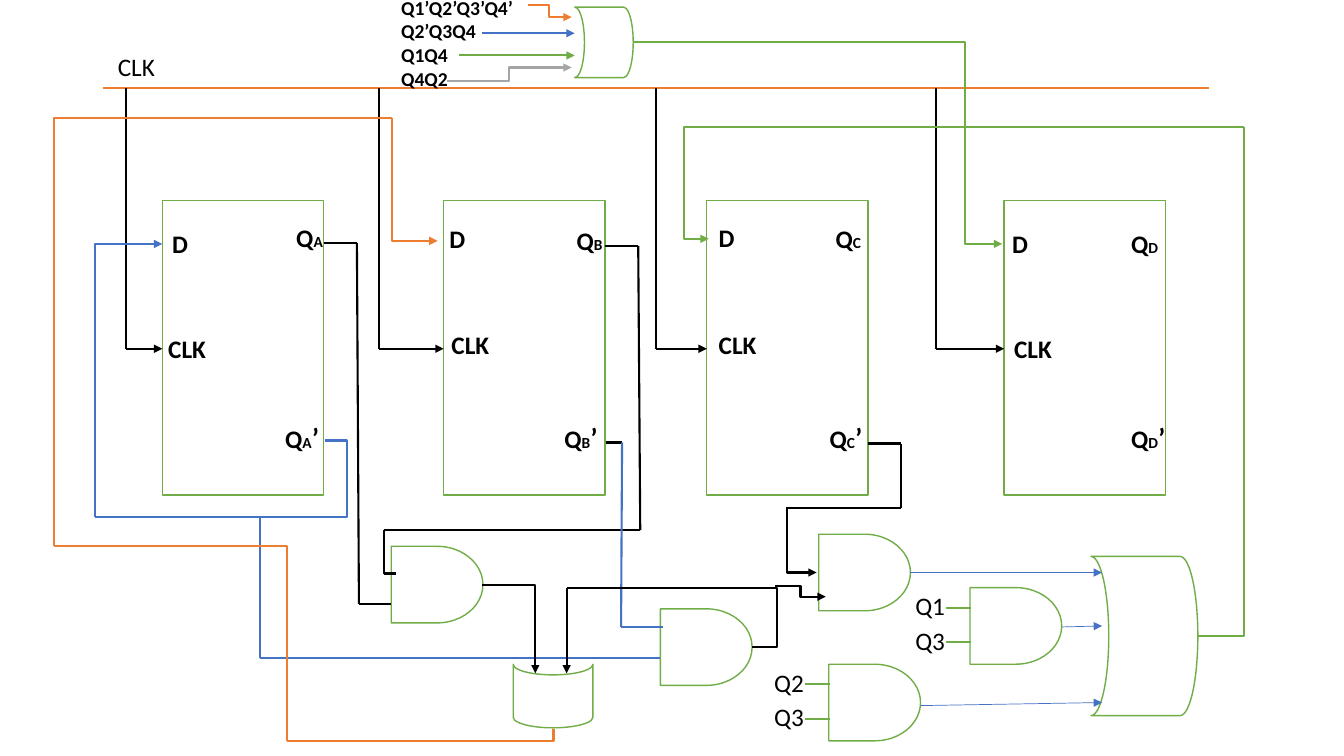
import collections
import itertools

import pptx
import pptx.dml.color
import pptx.enum.shapes
import pptx.enum.text
import pptx.oxml
import pptx.oxml.ns
import pptx.util

PX = 9144
Box = collections.namedtuple("Box", "left top width height")
Theme = collections.namedtuple(
    "Theme", "font ink paper blue orange green gray label small prime terms outline wire thin")
THEME = Theme("Calibri", "000000", "FFFFFF", "4472C4", "ED7D31", "70AD47", "A5A5A5",
              18, 11, 20, 14, 1, 1.5, 0.5)
SHAPES = pptx.enum.shapes.MSO_SHAPE
CONNECTORS = pptx.enum.shapes.MSO_CONNECTOR
FRAME = {"word_wrap": True, "auto_size": pptx.enum.text.MSO_AUTO_SIZE.SHAPE_TO_FIT_TEXT}


def apply(target, values):
    for name, value in values.items():
        setattr(target, name, value)


def rgb(code):
    return pptx.dml.color.RGBColor.from_string(code)


def emu(*lengths):
    return [pptx.util.Emu(length * PX) for length in lengths]


def inside(box, left, top, width, height):
    return emu(box.left + left, box.top + top, width, height)


def part(slide, box, preset, place, rotation=0):
    outline = slide.shapes.add_shape(preset, *inside(box, *place))
    apply(outline, {"rotation": rotation})
    apply(outline.shadow, {"inherit": False})
    outline.fill.solid()
    apply(outline.fill.fore_color, {"rgb": rgb(THEME.paper)})
    apply(outline.line, {"width": pptx.util.Pt(THEME.outline)})
    apply(outline.line.color, {"rgb": rgb(THEME.green)})


def and_gate(slide, box, left, top):
    part(slide, box, SHAPES.FLOWCHART_DELAY, (left, top, 91, 76))


def or_gate(slide, box, place, rotation=180):
    part(slide, box, SHAPES.FLOWCHART_STORED_DATA, place, rotation)


def label(slide, box, place, lines, bold=True):
    frame = slide.shapes.add_textbox(*inside(box, *place)).text_frame
    apply(frame, FRAME)
    for index, pieces in enumerate(lines):
        paragraph = frame.add_paragraph() if index else frame.paragraphs[0]
        for text, size in pieces:
            run = paragraph.add_run()
            run.text = text
            apply(run.font, {"name": THEME.font, "size": pptx.util.Pt(size), "bold": bold})
            apply(run.font.color, {"rgb": rgb(THEME.ink)})


def link(slide, box, start, end, color, kind=CONNECTORS.STRAIGHT, arrow=None, width=THEME.wire):
    ends = emu(*(edge + offset for point in (start, end)
                 for edge, offset in zip((box.left, box.top), point)))
    connector = slide.shapes.add_connector(kind, *ends)
    apply(connector.line, {"width": pptx.util.Pt(width)})
    apply(connector.line.color, {"rgb": rgb(color)})
    properties = connector._element.spPr
    if arrow:
        tip = pptx.oxml.parse_xml(f'<a:{arrow} {pptx.oxml.ns.nsdecls("a")} type="triangle"/>')
        properties.find(pptx.oxml.ns.qn("a:ln")).append(tip)
    properties.append(pptx.oxml.parse_xml(f'<a:effectLst {pptx.oxml.ns.nsdecls("a")}/>'))
    return properties.find(pptx.oxml.ns.qn("a:prstGeom"))


def straight(slide, box, color, *points, arrow=False, width=THEME.wire):
    last = len(points) - 2
    for index, (start, end) in enumerate(itertools.pairwise(points)):
        link(slide, box, start, end, color, width=width,
             arrow="tailEnd" if arrow and index == last else None)


def corner(slide, box, color, start, turn, end, arrow=False):
    tip = "tailEnd"
    if start[0] == turn[0]:
        start, end, tip = end, start, "headEnd"
    geometry = link(slide, box, start, end, color, CONNECTORS.ELBOW, tip if arrow else None)
    geometry.set("prst", "bentConnector2")


def step(slide, box, color, start, turn_x, end, arrow=False):
    geometry = link(slide, box, start, end, color, CONNECTORS.ELBOW, "tailEnd" if arrow else None)
    share = round(100000 * (turn_x - start[0]) / (end[0] - start[0]))
    for guides in geometry.findall(pptx.oxml.ns.qn("a:avLst")):
        geometry.remove(guides)
    geometry.append(pptx.oxml.parse_xml(
        f'<a:avLst {pptx.oxml.ns.nsdecls("a")}><a:gd name="adj1" fmla="val {share}"/></a:avLst>'))


def flip_flop(slide, box, letter, clock, data, output, inverse):
    part(slide, box, SHAPES.RECTANGLE, (0, 0, box.width, box.height))
    state = [("Q", THEME.label), (letter, THEME.small)]
    label(slide, box, (*clock, 97, 40), [[("CLK", THEME.label)]])
    label(slide, box, (*data, 97, 40), [[("D", THEME.label)]])
    label(slide, box, (*output, 97, 40), [state])
    label(slide, box, (*inverse, 97, 44), [state + [("’", THEME.prime)]])


def clock_bus(slide, box):
    straight(slide, box, THEME.orange, (0, 0), (box.width, 0))
    for tap, pin in ((23, 59), (274, 338), (549, 599), (826, 894)):
        straight(slide, box, THEME.ink, (tap, 0), (tap, box.height), (pin, box.height), arrow=True)
    label(slide, box, (5, -41, 115, 40), [[("CLK", THEME.label)]], bold=False)


def input_a(slide, box):
    step(slide, box, THEME.blue, (228, 195), 250, (0, 271))
    corner(slide, box, THEME.blue, (0, 271), (0, 0), (67, 0), arrow=True)


def input_b(slide, box):
    and_gate(slide, box, 334, 425)
    and_gate(slide, box, 601, 487)
    or_gate(slide, box, (463, 534, 63, 79), 270)
    straight(slide, box, THEME.ink, (267, 124), (300, 124), (302, 482), (334, 482))
    straight(slide, box, THEME.ink, (546, 127), (579, 127), (581, 409), (327, 409),
             (327, 452), (339, 452))
    straight(slide, box, THEME.ink, (547, 322), (563, 322))
    straight(slide, box, THEME.blue, (563, 322), (562, 505), (604, 505))
    straight(slide, box, THEME.blue, (204, 396), (204, 536), (601, 536))
    corner(slide, box, THEME.ink, (424, 463), (477, 463), (477, 551), arrow=True)
    step(slide, box, THEME.ink, (692, 525), 717, (508, 466))
    straight(slide, box, THEME.ink, (508, 466), (508, 551), arrow=True)
    corner(slide, box, THEME.orange, (495, 606), (495, 618), (231, 618))
    corner(slide, box, THEME.orange, (231, 618), (231, 425), (0, 425))
    corner(slide, box, THEME.orange, (0, 425), (0, 0), (335, 0))
    corner(slide, box, THEME.orange, (335, 0), (335, 122), (380, 122), arrow=True)


def input_c(slide, box):
    and_gate(slide, box, 134, 404)
    for left, top, terms in ((284, 457, ("Q1", "Q3")), (144, 533, ("Q2", "Q3"))):
        and_gate(slide, box, left, top)
        for term, drop in zip(terms, (20, 54)):
            straight(slide, box, THEME.green, (left - 24, top + drop), (left + 1, top + drop))
            label(slide, box, (left - 64, top + drop - 22, 60, 40),
                  [[(term, THEME.label)]], bold=False)
    or_gate(slide, box, (404, 426, 106, 158))
    for start, end in (((225, 442), (415, 442)), ((375, 496), (415, 495)), ((235, 574), (415, 571))):
        straight(slide, box, THEME.blue, start, end, arrow=True, width=THEME.thin)
    straight(slide, box, THEME.ink, (183, 314), (216, 314), (216, 378), (102, 378))
    corner(slide, box, THEME.ink, (103, 378), (103, 442), (132, 442), arrow=True)
    step(slide, box, THEME.ink, (91, 455), 116, (141, 466), arrow=True)
    corner(slide, box, THEME.green, (510, 505), (556, 505), (556, 0))
    step(slide, box, THEME.green, (556, 0), 0, (25, 111), arrow=True)


def input_d(slide, box):
    or_gate(slide, box, (182, 7, 58, 70))
    terms = ("Q1’Q2’Q3’Q4’", "Q2’Q3Q4", "Q1Q4", "Q4Q2")
    label(slide, box, (0, -9, 163, 104), [[(term, THEME.terms)] for term in terms])
    step(slide, box, THEME.orange, (136, 5), 157, (179, 17), arrow=True)
    straight(slide, box, THEME.blue, (90, 33), (182, 33), arrow=True)
    straight(slide, box, THEME.green, (67, 55), (182, 55), arrow=True)
    step(slide, box, THEME.gray, (55, 80), 117, (179, 67), arrow=True)
    step(slide, box, THEME.green, (240, 42), 569, (606, 242), arrow=True)


def main():
    deck = pptx.Presentation()
    apply(deck, dict(zip(("slide_width", "slide_height"), emu(1333, 750))))
    slide = deck.slides.add_slide(deck.slide_layouts[6])
    for left, letter, *pins in (
        (161, "A", (-4, 127), (0, 23), (123, 17), (112, 213)),
        (440, "B", (-2, 123), (-4, 18), (122, 20), (110, 213)),
        (701, "C", (2, 123), (2, 17), (118, 18), (112, 213)),
        (996, "D", (0, 127), (-2, 23), (116, 23), (116, 213)),
    ):
        flip_flop(slide, Box(left, 199, 160, 292), letter, *pins)
    clock_bus(slide, Box(102, 87, 1097, 259))
    input_a(slide, Box(94, 242, 250, 271))
    input_b(slide, Box(54, 117, 717, 618))
    input_c(slide, Box(678, 126, 556, 609))
    input_d(slide, Box(388, 0, 606, 242))
    deck.save("out.pptx")


if __name__ == "__main__":
    main()
